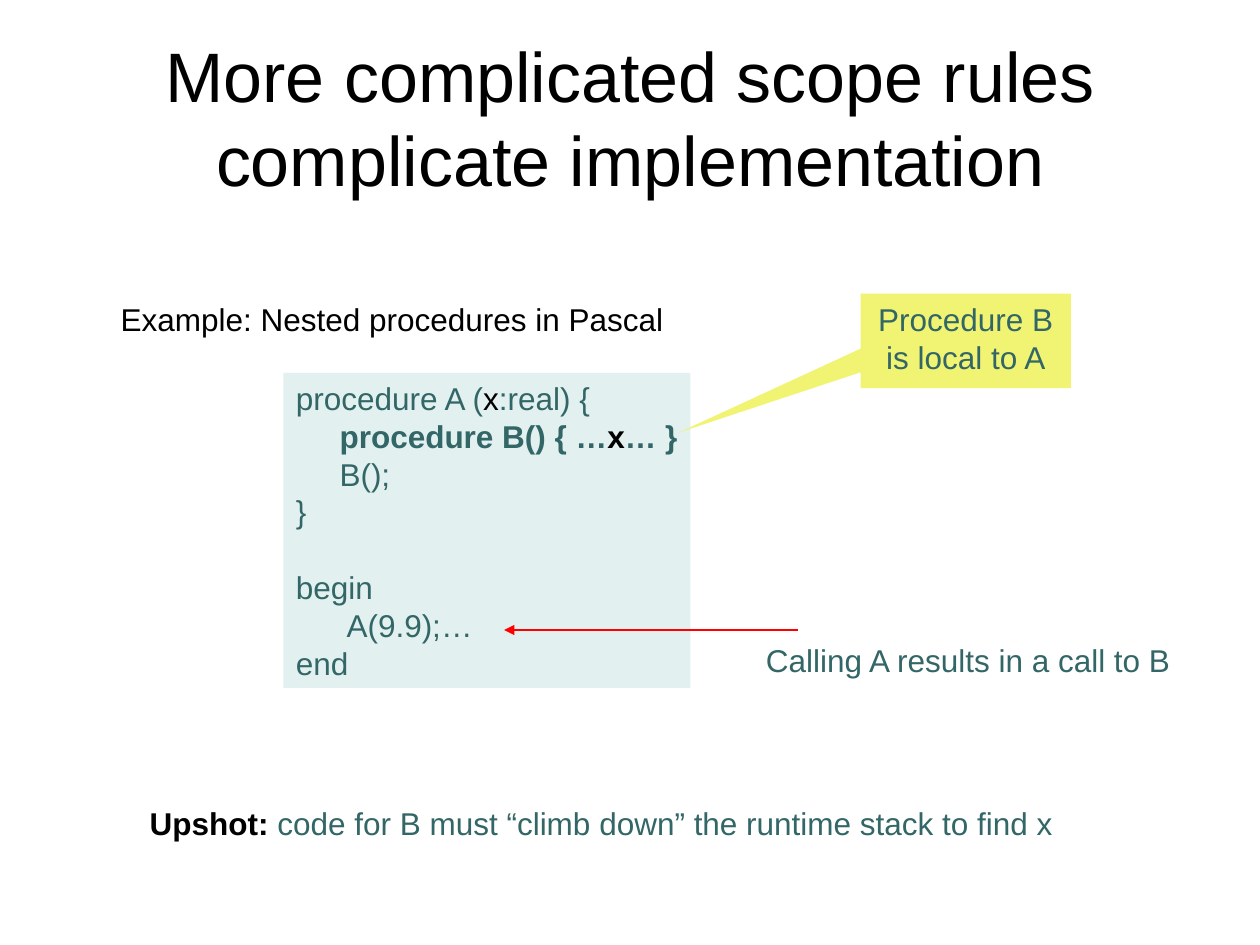
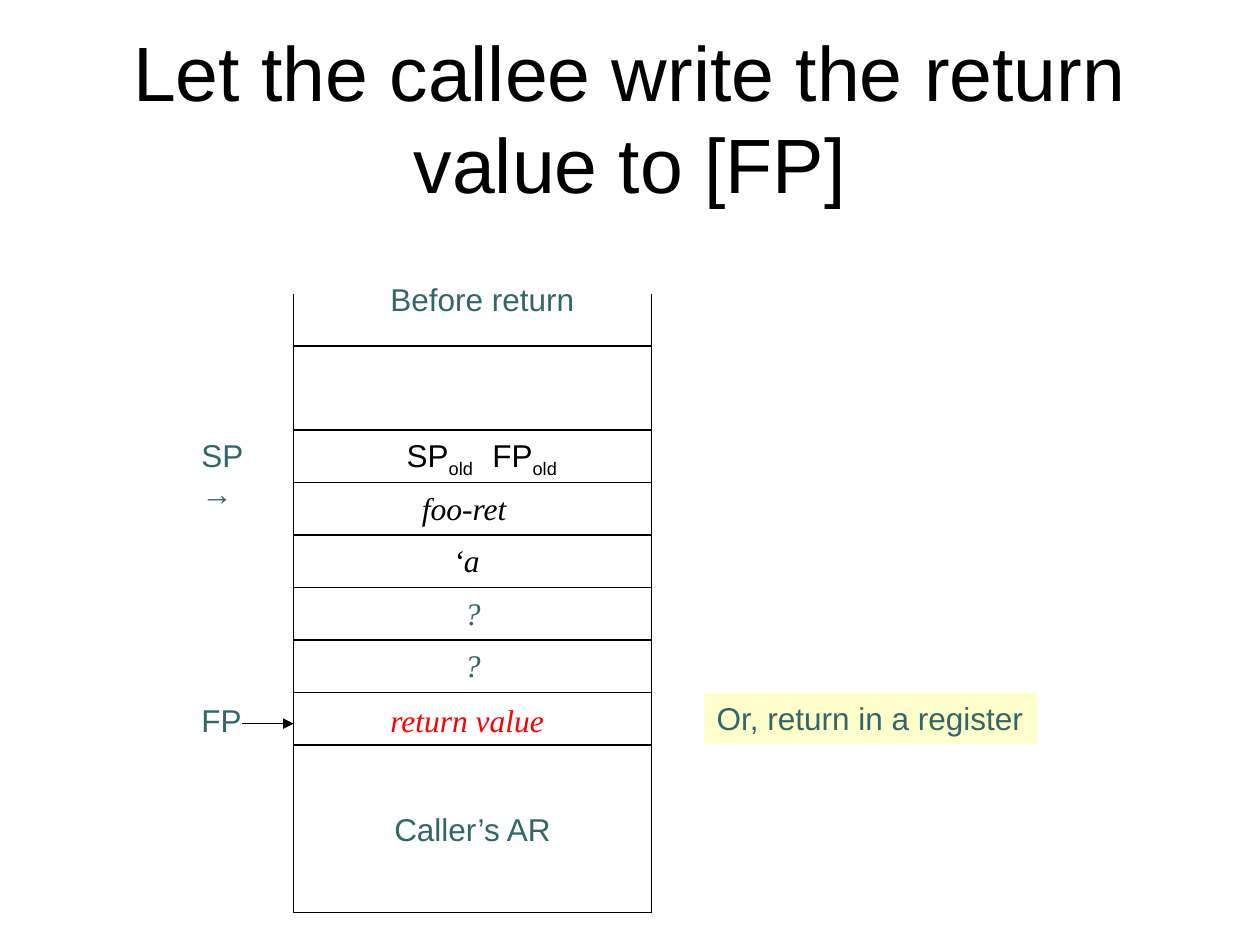
from pptx import Presentation
from pptx.dml.color import RGBColor
from pptx.enum.shapes import MSO_CONNECTOR, MSO_SHAPE
from pptx.enum.text import MSO_ANCHOR, PP_ALIGN
from pptx.oxml.ns import qn
from pptx.util import Inches, Pt
from lxml.etree import SubElement

BLACK = RGBColor(0x00, 0x00, 0x00)
WHITE = RGBColor(0xFF, 0xFF, 0xFF)
TEAL = RGBColor(0x33, 0x66, 0x66)
RED = RGBColor(0xFF, 0x00, 0x00)
MINT = RGBColor(0xE2, 0xF0, 0xF0)
YELLOW = RGBColor(0xF1, 0xF4, 0x72)
CREAM = RGBColor(0xFF, 0xFF, 0xCC)

BODY = {"name": "Arial", "size": Pt(18), "color": TEAL}
DARK = {**BODY, "color": BLACK}
VALUE = {**BODY, "name": "Times New Roman", "italic": True}
VALUE_DARK = {**VALUE, "color": BLACK}
TITLE = {"name": "Arial", "color": BLACK}


def set_font(font, style):
    """Apply a dict of format values to a font."""
    for key, value in style.items():
        if key == "color":
            font.color.rgb = value
        else:
            setattr(font, key, value)


def write(tf, lines, align=PP_ALIGN.LEFT, anchor=MSO_ANCHOR.TOP):
    """Fill a text frame with lines, each a list of (text, style) runs."""
    tf.word_wrap = False
    tf.vertical_anchor = anchor
    for i, runs in enumerate(lines):
        p = tf.paragraphs[0] if i == 0 else tf.add_paragraph()
        p.alignment = align
        for text, style in runs:
            r = p.add_run()
            r.text = text
            set_font(r.font, style)


def add_title(s, text, size):
    """Place and format the title placeholder."""
    title = s.shapes.title
    title.left, title.top, title.width, title.height = (
        Inches(v) for v in (0.5, 0.3, 9, 1.25))
    tf = title.text_frame
    tf.text = text
    tf.word_wrap = True
    tf.vertical_anchor = MSO_ANCHOR.MIDDLE
    p = tf.paragraphs[0]
    p.alignment = PP_ALIGN.CENTER
    set_font(p.runs[0].font, {**TITLE, "size": size})


def add_label(s, x, y, w, runs, h=0.4):
    """Add a text box holding one line and return its frame."""
    tf = s.shapes.add_textbox(Inches(x), Inches(y), Inches(w), Inches(h)).text_frame
    write(tf, [runs])
    return tf


def add_box(s, box, fill, lines, line=None, kind=MSO_SHAPE.RECTANGLE, **layout):
    """Add a filled shape with text and return it."""
    sp = s.shapes.add_shape(kind, *(Inches(v) for v in box))
    sp.shadow.inherit = False
    sp.fill.solid()
    sp.fill.fore_color.rgb = fill
    if line is None:
        sp.line.fill.background()
    else:
        sp.line.color.rgb = line
        sp.line.width = Pt(0.75)
    write(sp.text_frame, lines, **layout)
    return sp


def add_line(s, x1, y1, x2, y2, color=BLACK, arrow=False):
    """Add a thin straight line, with an arrowhead at its end if asked."""
    c = s.shapes.add_connector(MSO_CONNECTOR.STRAIGHT,
                               *(Inches(v) for v in (x1, y1, x2, y2)))
    c.line.color.rgb = color
    c.line.width = Pt(0.75)
    if arrow:
        SubElement(c.line._get_or_add_ln(), qn("a:tailEnd"), type="triangle")
    SubElement(c._element.spPr, qn("a:effectLst"))


def add_code(s, x, y, w, h):
    """Draw the nested procedure listing."""
    bold = {**BODY, "bold": True}
    add_box(s, (x, y, w, h), MINT, [
        [("procedure A (", BODY), ("x", DARK), (":real) {", BODY)],
        [("     ", BODY), ("procedure B() { …", bold),
         ("x", {**DARK, "bold": True}), ("… }", bold)],
        [("     B();", BODY)],
        [("}", BODY)],
        [("     ", BODY)],
        [("begin", BODY)],
        [("      A(9.9);…", BODY)],
        [("end", BODY)],
    ])
    add_line(s, x + 4.08, y + 2.04, x + 1.75, y + 2.04, RED, arrow=True)
    add_label(s, x + 3.73, y + 2.08, 3.44,
              [("Calling A results in a call to B", BODY)], h=0.7)


def add_callout(s, box):
    """Draw the callout that points at procedure B."""
    sp = add_box(s, box, YELLOW, [[("Procedure B", BODY)], [("is local to A", BODY)]],
                 kind=MSO_SHAPE.RECTANGULAR_CALLOUT, align=PP_ALIGN.CENTER)
    sp.adjustments[0], sp.adjustments[1] = -1.364, 0.971


def add_stack(s, x, y, w):
    """Draw the runtime stack with its cells, labels and pointers."""
    row, first, bottom = 5 / 12, y + 13 / 12, y + 43 / 12
    right = x + w
    for side in (x, right):
        add_line(s, side, y, side, bottom)
    add_line(s, x, y + row, right, y + row)
    for i in range(7):
        add_line(s, x, first + i * row, right, first + i * row)

    add_label(s, x + 0.67, y - 0.16, 1.66, [("Before return", BODY)])
    sub = {**DARK, "size": Pt(18)}
    tf = add_label(s, x + 0.8, first, 1.4, [
        ("SP", DARK), ("old", sub), ("\t", DARK), ("FP", DARK), ("old", sub)], h=0.44)
    p = tf.paragraphs[0]
    for i in (1, 4):
        p.runs[i].font._element.set("baseline", "-25000")
    tabs = SubElement(p._p.get_or_add_pPr(), qn("a:tabLst"))
    SubElement(tabs, qn("a:tab"), pos=str(Inches(0.68)), algn="l")

    cells = [
        ("foo-ret", 0.92, 0.88, VALUE_DARK),
        ("‘a", 1.17, 0.41, VALUE_DARK),
        ("?", 1.26, 0.32, VALUE),
        ("?", 1.26, 0.32, VALUE),
        ("return value", 0.67, 1.43, {**VALUE, "color": RED}),
    ]
    for i, (text, dx, width, style) in enumerate(cells, 1):
        nudge = 0.02 if text == "return value" else 0
        add_label(s, x + dx, first + i * row + nudge, width, [(text, style)])

    add_box(s, (x, bottom, w, 1.33), WHITE, [[("Caller’s AR", BODY)]], line=BLACK,
            align=PP_ALIGN.CENTER, anchor=MSO_ANCHOR.MIDDLE)
    add_label(s, x - 0.83, first, 0.78, [("SP→", BODY)])
    add_label(s, x - 0.83, bottom - 0.4, 0.52, [("FP", BODY)])
    add_line(s, x - 0.41, bottom - 0.17, x, bottom - 0.17, arrow=True)


def build_scope_slide(s):
    """Build the slide on nested procedures."""
    add_title(s, "More complicated scope rules complicate implementation", Pt(40))
    add_code(s, 2.25, 2.96, 3.23, 2.5)
    add_label(s, 0.86, 2.33, 4.51, [("Example: Nested procedures in Pascal", DARK)])
    add_label(s, 1.09, 6.33, 7.37, [
        ("Upshot:", {**DARK, "bold": True}),
        (" code for B must “climb down” the runtime stack to find x", BODY)])
    add_callout(s, (6.83, 2.33, 1.67, 0.75))


def build_return_slide(s):
    """Build the slide on returning a value through the stack."""
    add_title(s, "Let the callee write the return value to [FP]", Pt(44))
    add_stack(s, 2.33, 2.33, 2.84)
    add_box(s, (5.59, 5.5, 2.64, 0.4), CREAM, [[("Or, return in a register", BODY)]])


def main():
    """Build and save the presentation."""
    prs = Presentation()
    prs.slide_width, prs.slide_height = Inches(10), Inches(7.5)
    for build in (build_scope_slide, build_return_slide):
        build(prs.slides.add_slide(prs.slide_layouts[5]))
    prs.save("out.pptx")


if __name__ == "__main__":
    main()
